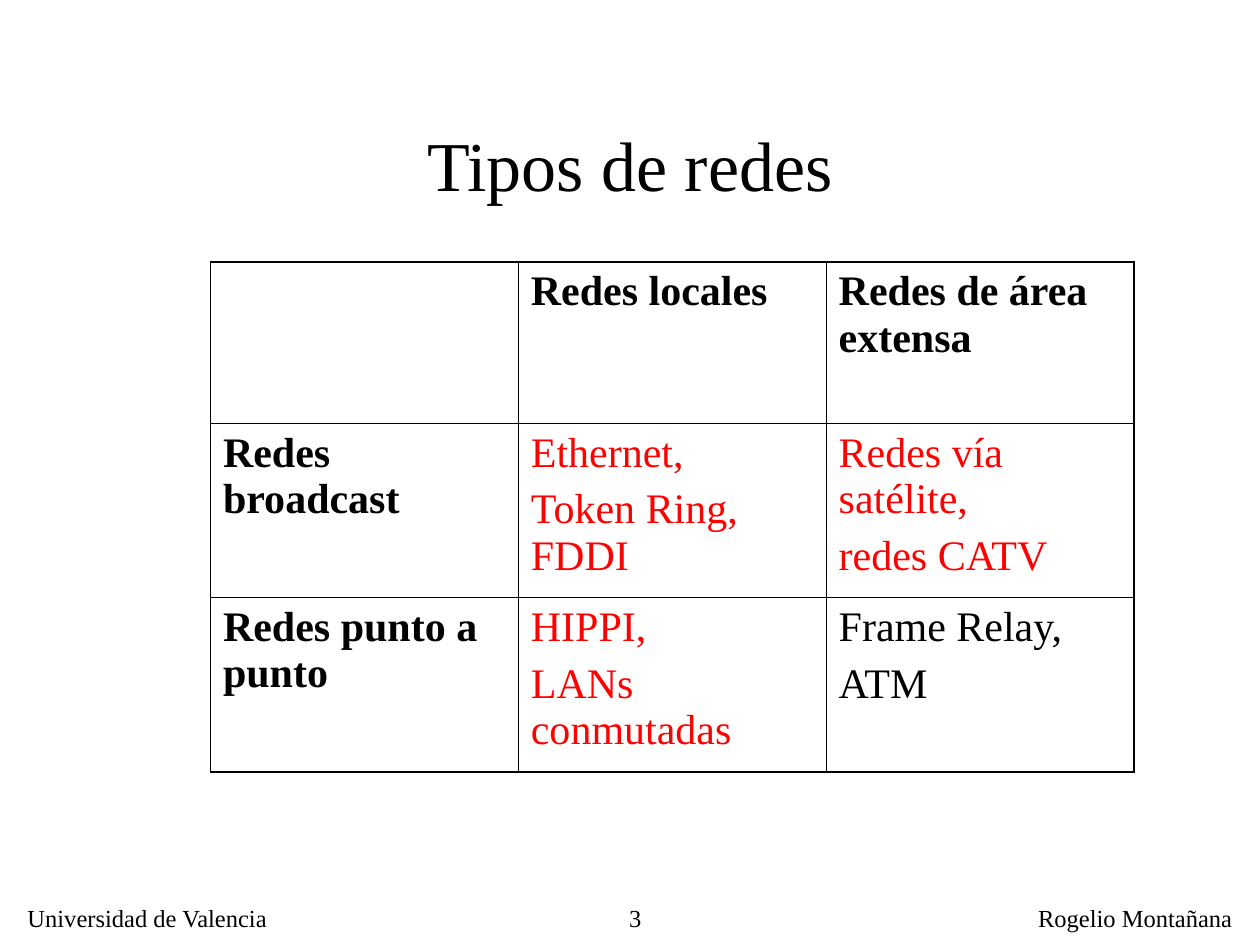
import dataclasses

import lxml.etree
import pptx
import pptx.dml.color
import pptx.enum.text
import pptx.oxml.ns
import pptx.util

Inches = pptx.util.Inches
Align = pptx.enum.text.PP_ALIGN
Anchor = pptx.enum.text.MSO_ANCHOR


@dataclasses.dataclass(frozen=True)
class Theme:
    """Colours, font, type sizes and line widths of the deck."""
    font: str = "Times New Roman"
    ink: str = "000000"
    accent: str = "FF0000"
    title_size: int = 40
    table_size: int = 24
    footer_size: int = 14
    paragraph_gap: int = 6
    outer_line: float = 1.08
    inner_line: float = 0.45


THEME = Theme()

NETWORK_TYPES = [
    [[], ["Redes locales"], ["Redes de área extensa"]],
    [["Redes broadcast"], ["Ethernet,", "Token Ring, FDDI"],
     ["Redes vía satélite,", "redes CATV"]],
    [["Redes punto a punto"], ["HIPPI,", "LANs conmutadas"],
     ["Frame Relay,", "ATM"]],
]
HIGHLIGHTED = {(1, 1), (1, 2), (2, 1)}


def add_span(para, text, size, color=THEME.ink, bold=False):
    """Add one styled run to a paragraph."""
    span = para.add_run()
    span.text = text
    span.font.name = THEME.font
    span.font.size = pptx.util.Pt(size)
    span.font.bold = bold
    span.font.color.rgb = pptx.dml.color.RGBColor.from_string(color)


def add_label(page, box, text, size, align=Align.LEFT, anchor=Anchor.TOP, wrap=True):
    """Place one line of text in the given box."""
    frame = page.shapes.add_textbox(*map(Inches, box)).text_frame
    frame.word_wrap = wrap
    frame.vertical_anchor = anchor
    para = frame.paragraphs[0]
    para.alignment = align
    add_span(para, text, size)


def add_title(page, box):
    """Place the centred slide title."""
    add_label(page, box, "Tipos de redes", THEME.title_size, Align.CENTER, Anchor.MIDDLE)


def add_footer(page, box):
    """Place institution, page number and author along the footer box."""
    left, top, width, height = box
    author_width = 1.74
    size = THEME.footer_size
    add_label(page, (left + 4.01, top, 1.06, height), "3", size, Align.RIGHT)
    add_label(page, (left, top, 2.13, height), "Universidad de Valencia", size, wrap=False)
    add_label(page, (left + width - author_width, top, author_width, height),
              "Rogelio Montañana", size, wrap=False)


def set_borders(cell, outer_sides):
    """Draw the four cell borders, heavier on the outer sides."""
    properties = cell._tc.get_or_add_tcPr()
    for index, side in enumerate("LRTB"):
        width = THEME.outer_line if side in outer_sides else THEME.inner_line
        line = lxml.etree.Element(pptx.oxml.ns.qn(f"a:ln{side}"), w=str(pptx.util.Pt(width)))
        fill = lxml.etree.SubElement(line, pptx.oxml.ns.qn("a:solidFill"))
        lxml.etree.SubElement(fill, pptx.oxml.ns.qn("a:srgbClr"), val=THEME.ink)
        properties.insert(index, line)


def fill_cell(cell, lines, color, bold):
    """Write the paragraphs of one table cell."""
    cell.fill.background()
    cell.margin_left = cell.margin_right = Inches(0.1)
    cell.margin_top = cell.margin_bottom = Inches(0.05)
    frame = cell.text_frame
    for index, line in enumerate(lines):
        para = frame.add_paragraph() if index else frame.paragraphs[0]
        para.space_before = pptx.util.Pt(THEME.paragraph_gap)
        add_span(para, line, THEME.table_size, color, bold)


def add_network_table(page, box):
    """Build the table of network types in the given box."""
    left, top, width, height = box
    header_height = 1.28
    count = len(NETWORK_TYPES)
    last = count - 1
    table = page.shapes.add_table(count, count, *map(Inches, box)).table
    table.first_row = table.horz_banding = False
    for column in table.columns:
        column.width = Inches(width / count)
    for index, row in enumerate(table.rows):
        row.height = Inches((height - header_height) / last if index else header_height)
    for row, entries in enumerate(NETWORK_TYPES):
        for column, lines in enumerate(entries):
            cell = table.cell(row, column)
            color = THEME.accent if (row, column) in HIGHLIGHTED else THEME.ink
            fill_cell(cell, lines, color, bold=row == 0 or column == 0)
            edges = {"L": column == 0, "R": column == last, "T": row == 0, "B": row == last}
            set_borders(cell, {side for side, outer in edges.items() if outer})


def main():
    """Build and save the deck."""
    deck = pptx.Presentation()
    deck.slide_width, deck.slide_height = Inches(10), Inches(7.5)
    page = deck.slides.add_slide(deck.slide_layouts[6])
    add_footer(page, (0.12, 7.12, 9.76, 0.34))
    add_title(page, (0.75, 0.67, 8.5, 1.25))
    add_network_table(page, (1.67, 2.08, 7.33, 4.05))
    deck.save("out.pptx")


if __name__ == "__main__":
    main()
